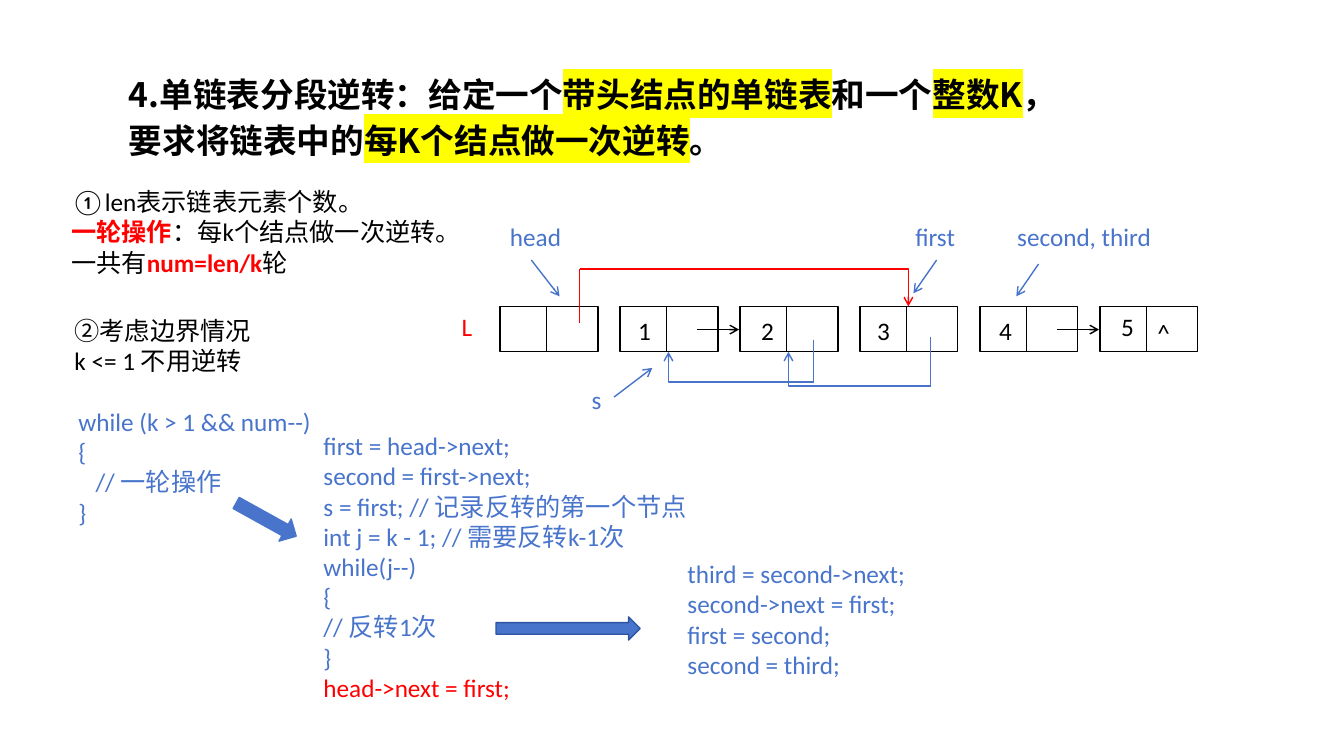
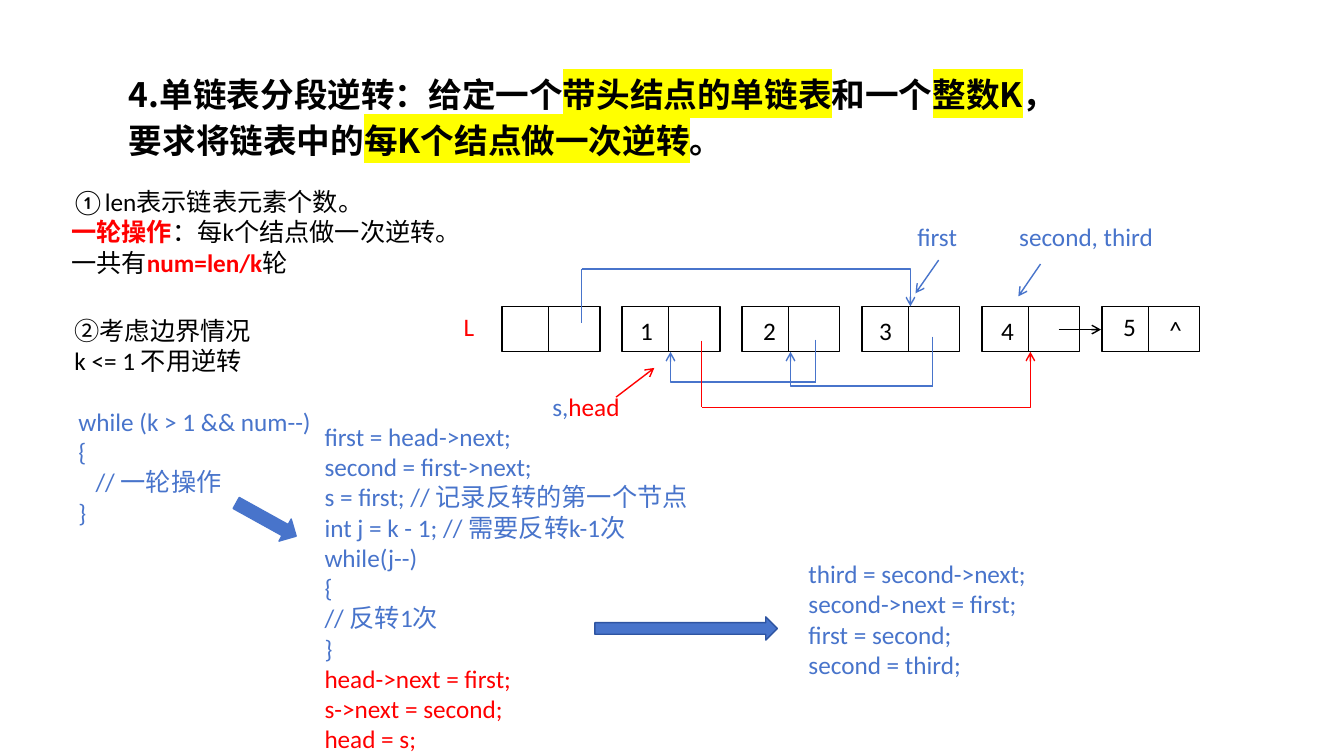
from lxml.etree import SubElement
from pptx import Presentation
from pptx.dml.color import RGBColor as RGB
from pptx.enum.lang import MSO_LANGUAGE_ID as LANG
from pptx.enum.shapes import MSO_CONNECTOR as CONN, MSO_SHAPE as SHAPE
from pptx.enum.text import MSO_ANCHOR as ANCHOR
from pptx.oxml.ns import qn
from pptx.util import Emu, Pt

PX = 9144
COLORS = {"black": "000000", "red": "FF0000", "blue": "4874CB",
          "navy": "2E54A1", "yellow": "FFFF00"}
BODY = {"name": "Calibri", "size": Pt(18), "bold": False,
        "language_id": LANG.SIMPLIFIED_CHINESE}
TITLE = {**BODY, "name": "Noto Sans CJK SC", "size": Pt(24), "bold": True}
STYLES = {
    "text": ("black", BODY, None),
    "code": ("blue", BODY, None),
    "new": ("red", BODY, None),
    "key": ("red", {**BODY, "bold": True}, None),
    "title": ("black", TITLE, None),
    "mark": ("black", TITLE, "yellow"),
}

HEADING = [[("4.单链表分段逆转：给定一个", "title"), ("带头结点的单链表", "mark"),
            ("和一个", "title"), ("整数K", "mark"), ("，要求将链表中的", "title"),
            ("每K个结点做一次逆转", "mark"), ("。", "title")]]
ROUND_NOTE = [[("①len表示链表元素个数。", "text")],
              [("一轮操作", "key"), ("：每k个结点做一次逆转。", "text")],
              [("一共有", "text"), ("num=len/k", "key"), ("轮", "text")]]
OUTER = ["while (k > 1 && num--)", "{", "   // 一轮操作", "}"]
INNER = ["first = head->next;", "second = first->next;",
         "s = first; // 记录反转的第一个节点", "int j = k - 1; // 需要反转k-1次",
         "while(j--)", "{", "// 反转1次", "}"]
STEP = ["third = second->next;", "second->next = first;",
        "first = second;", "second = third;"]
RELINK = ["head->next = first;", "s->next = second;", "head = s;"]

NODE_W, NODE_H, PITCH, SPLIT = 97, 45, 119, 46
LABELS = [("1", 8, 4), ("2", 11, 4), ("3", 7, 4), ("4", 9, 4), ("5", 11, 0)]


def px(*values):
    """Turn px lengths into EMU."""
    return [Emu(v * PX) for v in values]


def rgb(name):
    """Look up a colour by name."""
    return RGB.from_string(COLORS[name])


def lines(style, texts):
    """Make one single-run paragraph per text."""
    return [[(text, style)] for text in texts]


def add_run(p, text, style):
    """Add a run in a named style."""
    color, fmt, mark = STYLES[style]
    r = p.add_run()
    r.text = text
    for key, value in fmt.items():
        setattr(r.font, key, value)
    r.font.color.rgb = rgb(color)
    rPr = r.font._element
    if mark:
        hl = SubElement(rPr, qn("a:highlight"))
        SubElement(hl, qn("a:srgbClr"), val=COLORS[mark])
        rPr.find(qn("a:solidFill")).addnext(hl)
    if fmt is TITLE:
        ea = SubElement(rPr, qn("a:ea"), typeface=fmt["name"])
        rPr.find(qn("a:latin")).addnext(ea)


def add_text(s, box, paragraphs, spacing=None, top=5):
    """Add a wrapped text box anchored at the top."""
    tf = s.shapes.add_textbox(*px(*box)).text_frame
    for key, value in {"word_wrap": True, "vertical_anchor": ANCHOR.TOP,
                       "margin_top": Emu(top * PX)}.items():
        setattr(tf, key, value)
    for i, runs in enumerate(paragraphs):
        p = tf.add_paragraph() if i else tf.paragraphs[0]
        p.line_spacing = spacing
        for text, style in runs:
            add_run(p, text, style)


def add_box(s, kind, box, line, fill=None, rotation=0):
    """Add a preset shape with a 1 pt outline."""
    sp = s.shapes.add_shape(kind, *px(*box))
    sp.shadow.inherit = False
    sp.rotation = rotation
    sp.line.color.rgb = rgb(line)
    sp.line.width = Pt(1)
    if fill:
        sp.fill.solid()
        sp.fill.fore_color.rgb = rgb(fill)
    else:
        sp.fill.background()


def add_line(s, start, end, color="black", arrow=False, bent=False):
    """Add a straight line, or an elbow that runs across and then up or down."""
    turned = bent and end[0] < start[0] and end[1] < start[1]
    a, b = (end, start) if turned else (start, end)
    sp = s.shapes.add_connector(CONN.ELBOW if bent else CONN.STRAIGHT, *px(*a, *b))
    sp.line.color.rgb = rgb(color)
    sp.line.width = Pt(1)
    spPr = sp._element.spPr
    if bent:
        spPr.find(qn("a:prstGeom")).set("prst", "bentConnector2")
    if turned:
        spPr.find(qn("a:xfrm")).set("rot", "10800000")
    if arrow:
        SubElement(spPr.find(qn("a:ln")), qn("a:tailEnd"), type="arrow")
    SubElement(spPr, qn("a:effectLst"))


def draw_problem(s):
    """Place the heading, the notes and the outer loop."""
    add_text(s, (118, 66, 966, 103), HEADING, spacing=1.12, top=3)
    add_text(s, (61, 180, 400, 116), ROUND_NOTE)
    add_text(s, (64, 308, 314, 78), lines("text", ["②考虑边界情况", "k <= 1 不用逆转"]))
    add_text(s, (68, 398, 442, 132), lines("code", OUTER))
    add_box(s, SHAPE.RIGHT_ARROW, (230, 503, 68, 25), "blue", "blue", 29)


def draw_code(s, left, top, relink, arrow_x, arrow_w, step_x):
    """Place the inner loop, the flow arrow and the reversal step."""
    add_text(s, (left, top, 389, 322), lines("code", INNER) + lines("new", relink))
    add_box(s, SHAPE.RIGHT_ARROW, (arrow_x, 612, arrow_w, 23), "navy", "blue")
    add_text(s, (step_x, 549, 295, 140), lines("code", STEP))


def draw_list(s, left, top, nexts, links, pointers, names, nil):
    """Place the linked list, its links and its named pointers."""
    def at(x, y):
        return left + x, top + y

    for i in range(len(LABELS) + 1):
        x = i * PITCH
        add_box(s, SHAPE.RECTANGLE, (*at(x, 0), NODE_W, NODE_H), "black")
        add_line(s, at(x + SPLIT, 0), at(x + SPLIT, NODE_H))
    for i, (label, dx, dy) in enumerate(LABELS, 1):
        add_text(s, (*at(i * PITCH + dx, dy), 29, 40), lines("text", [label]))
    add_text(s, (*at(*nil), 29, 40), lines("text", ["^"]))
    add_text(s, (*at(-48, 0), 53, 40), lines("new", ["L"]))
    for i in nexts:
        add_line(s, at(i * PITCH + 76, 23), at(i * PITCH + 118, 23), arrow=True)
    for start, corner, end, color in links:
        add_line(s, at(*start), at(*corner), color)
        add_line(s, at(*corner), at(*end), color, arrow=True, bent=True)
    for start, end, color in pointers:
        add_line(s, at(*start), at(*end), color, arrow=True)
    for x, y, w, runs in names:
        add_text(s, (*at(x, y), w, 37), [runs])


def main():
    """Build both slides."""
    prs = Presentation()
    prs.slide_width, prs.slide_height = px(1333, 750)

    back_links = [((311, 33), (311, 75), (167, 45), "blue"),
                  ((427, 30), (427, 79), (286, 45), "blue")]
    head_link = ((79, 16), (79, -37), (405, 0))
    tail_link = ((198, 34), (198, 100), (524, 45), "red")
    pointers = [((433, -46), (410, -13), "blue"), ((534, -42), (512, -10), "blue")]
    s_pointer = ((113, 90), (151, 61))
    names = [(402, -89, 73, [("first", "code")]),
             (503, -89, 178, [("second, third", "code")])]

    slides = [
        (dict(left=311, top=422, relink=RELINK[:1],
              arrow_x=492, arrow_w=143, step_x=672),
         dict(left=496, top=304, nexts=[1, 4], nil=(642, 6),
              links=back_links + [(*head_link, "red")],
              pointers=pointers + [((31, -46), (59, -10), "blue"),
                                   (*s_pointer, "blue")],
              names=names + [(0, -89, 86, [("head", "code")]),
                             (81, 72, 51, [("s", "code")])])),
        (dict(left=312, top=413, relink=RELINK,
              arrow_x=590, arrow_w=181, step_x=792),
         dict(left=498, top=304, nexts=[4], nil=(652, 3),
              links=back_links + [(*head_link, "blue"), tail_link],
              pointers=pointers + [(*s_pointer, "red")],
              names=names + [(40, 79, 100, [("s,", "code"), ("head", "new")])])),
    ]
    for code, chain in slides:
        s = prs.slides.add_slide(prs.slide_layouts[6])
        draw_problem(s)
        draw_code(s, **code)
        draw_list(s, **chain)
    prs.save("out.pptx")


if __name__ == "__main__":
    main()
